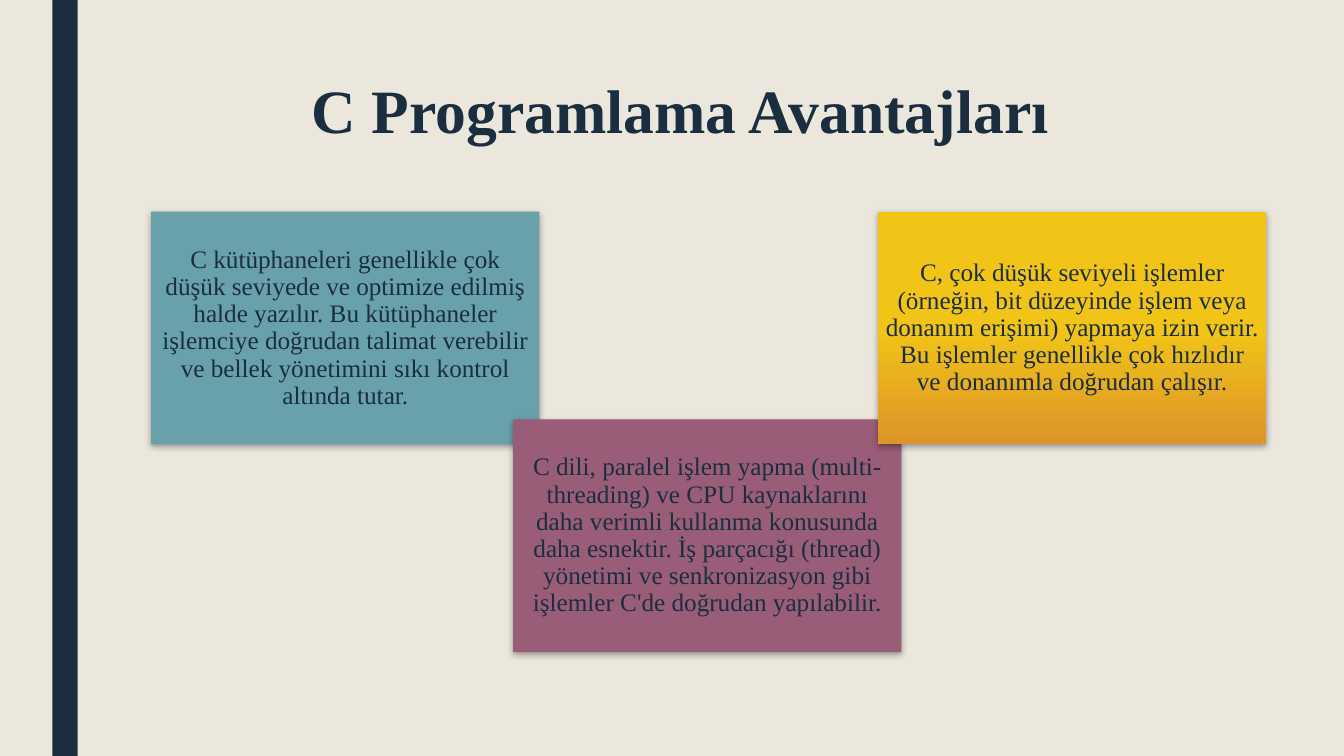
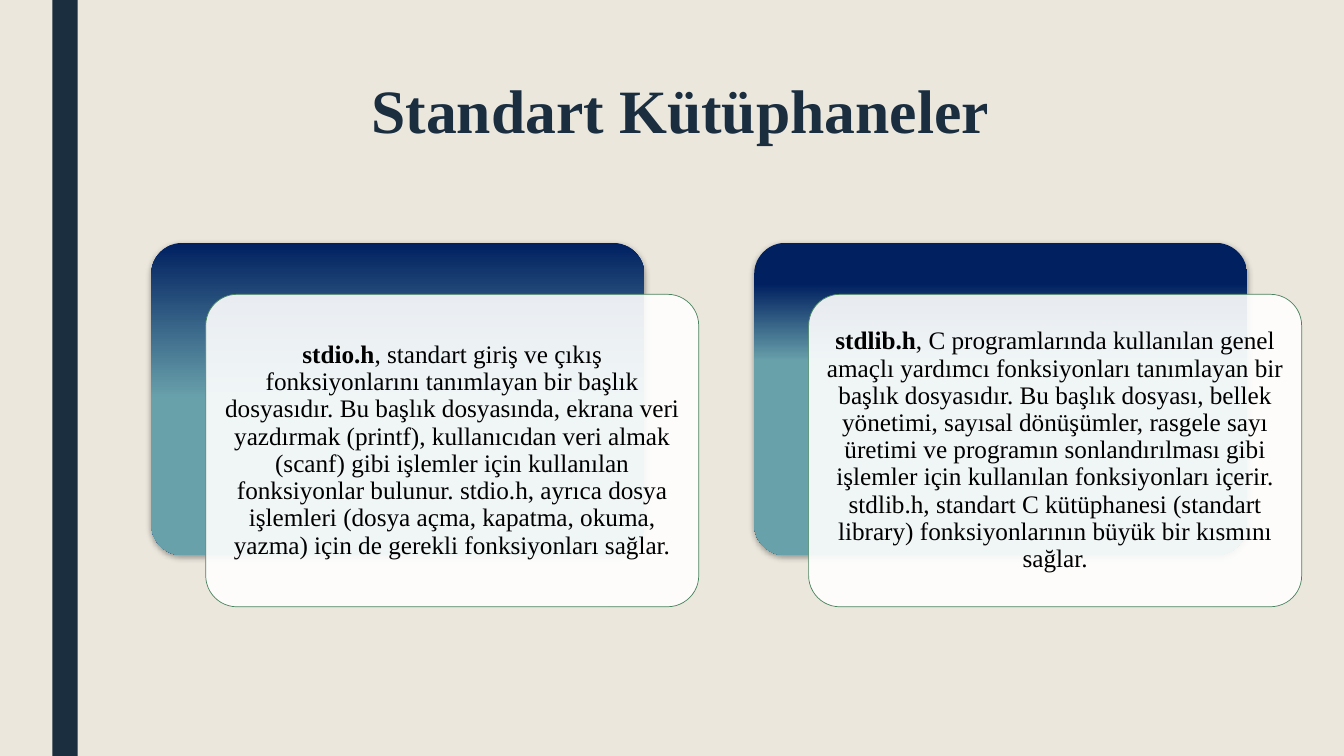
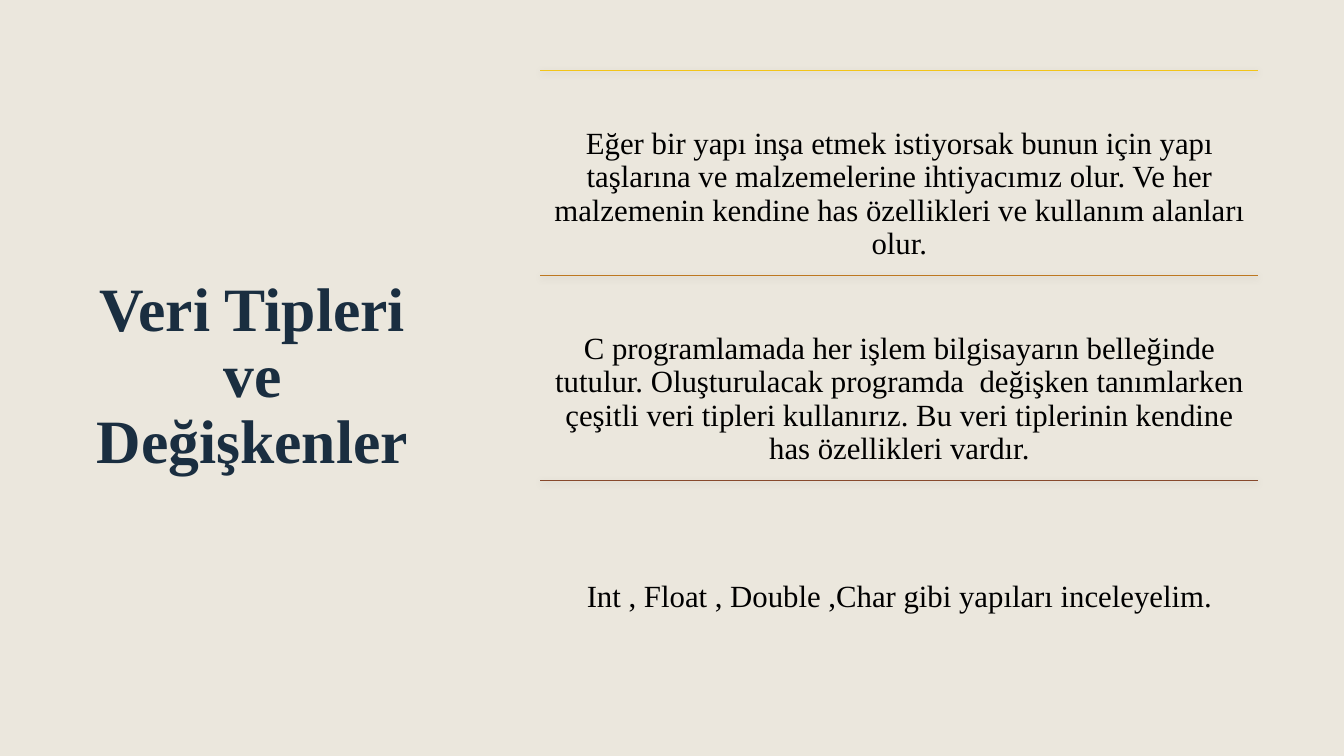
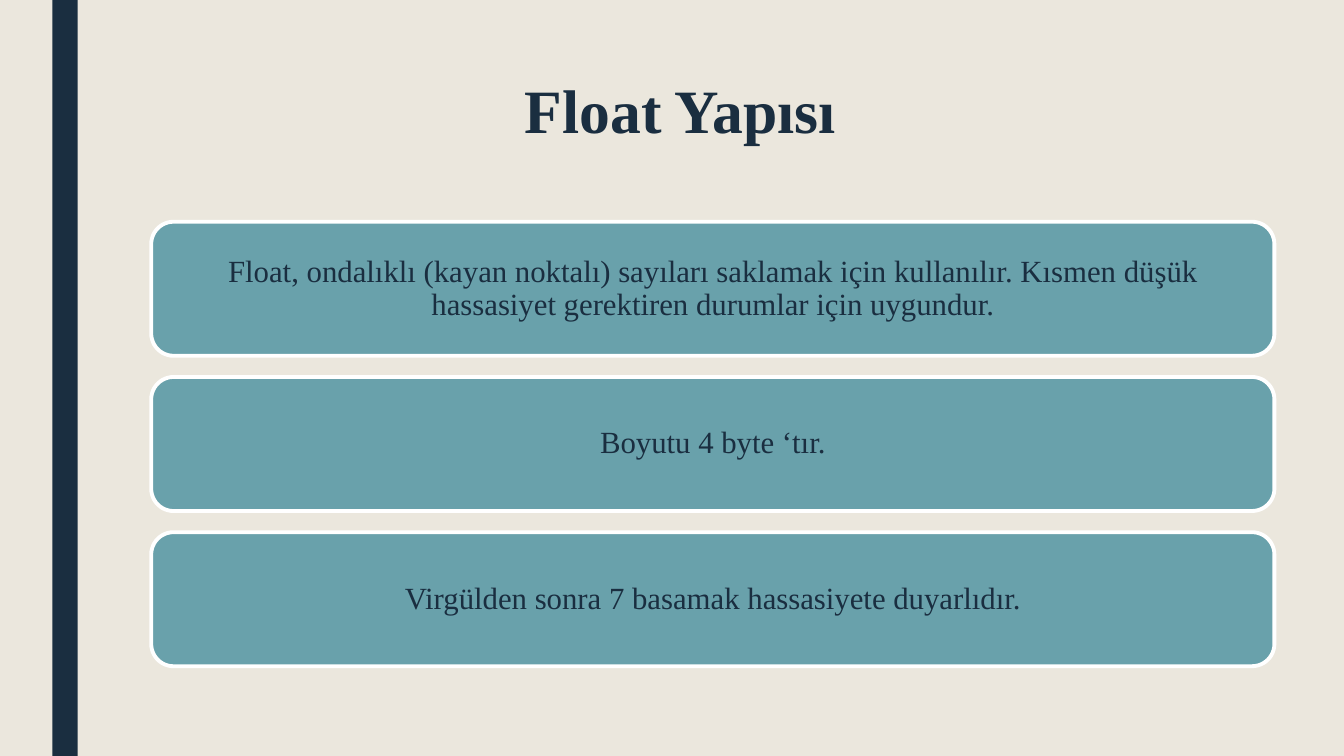
from lxml import etree
from pptx import Presentation
from pptx.dml.color import RGBColor
from pptx.enum.shapes import MSO_CONNECTOR, MSO_SHAPE
from pptx.enum.text import MSO_ANCHOR, PP_ALIGN
from pptx.oxml.ns import qn
from pptx.util import Inches, Pt

RECTANGLE = MSO_SHAPE.RECTANGLE
ROUNDED = MSO_SHAPE.ROUNDED_RECTANGLE
STRAIGHT = MSO_CONNECTOR.STRAIGHT
TOP, MIDDLE = MSO_ANCHOR.TOP, MSO_ANCHOR.MIDDLE
CENTER = PP_ALIGN.CENTER

FONT = "Times New Roman"
CREAM, NAVY, TEAL, PLUM = "EBE7DD", "1A2E40", "69A1AB", "9A5D78"
YELLOW, ORANGE, BROWN, RUST = "F2C418", "DC9528", "BD7821", "87492C"
DEEP_BLUE, GREEN, WHITE, BLACK = "002060", "4A845E", "FFFFFF", "000000"

CONTENT_LEFT = 1.5


def color(value):
    return RGBColor.from_string(value)


def add_element(parent, tag, **attributes):
    element = etree.SubElement(parent, qn(tag))
    for name, value in attributes.items():
        element.set(name, str(value))
    return element


def add_shadow(effects):
    """Fill an a:effectLst with the soft shadow below cards and lines."""
    shadow = add_element(effects, "a:outerShdw", blurRad=Pt(4.5), dist=Pt(1.5),
                         dir=90 * 60000, algn="ctr", rotWithShape=0)
    shade = add_element(shadow, "a:srgbClr", val=BLACK)
    add_element(shade, "a:alpha", val=35000)


def fill_gradient(shape, stops):
    """Fill from top to bottom with (percent, colour) stops."""
    shape.fill.gradient()
    shape.fill.gradient_angle = 270
    stop_list = shape._element.spPr.find(qn("a:gradFill")).find(qn("a:gsLst"))
    for stop in list(stop_list):
        stop_list.remove(stop)
    for percent, value in stops:
        stop = add_element(stop_list, "a:gs", pos=percent * 1000)
        add_element(stop, "a:srgbClr", val=value)


def set_opacity(shape, percent):
    solid = shape._element.spPr.find(qn("a:solidFill"))
    add_element(solid[0], "a:alpha", val=percent * 1000)


def add_box(slide, kind, left, top, width, height, fill, line=None,
            line_width=0.5, shadow=False):
    """Add a preset shape; fill is a colour or a list of gradient stops."""
    shape = slide.shapes.add_shape(kind, Inches(left), Inches(top),
                                   Inches(width), Inches(height))
    shape.shadow.inherit = False
    if isinstance(fill, str):
        shape.fill.solid()
        shape.fill.fore_color.rgb = color(fill)
    else:
        fill_gradient(shape, fill)
    if line:
        shape.line.color.rgb = color(line)
        shape.line.width = Pt(line_width)
    else:
        shape.line.fill.background()
    if shadow:
        add_shadow(shape._element.spPr.find(qn("a:effectLst")))
    return shape


def write_text(shape, runs, size, text_color, anchor=MIDDLE, inset=0.07,
               spacing=0.9):
    """Write one centred paragraph from (text, bold) runs."""
    frame = shape.text_frame
    frame.word_wrap = True
    frame.vertical_anchor = anchor
    frame.margin_left = frame.margin_right = Inches(inset)
    frame.margin_top = frame.margin_bottom = Inches(inset)
    paragraph = frame.paragraphs[0]
    paragraph.alignment = CENTER
    paragraph.line_spacing = spacing
    for text, bold in runs:
        run = paragraph.add_run()
        run.text = text
        run.font.name = FONT
        run.font.size = Pt(size)
        run.font.bold = bold
        run.font.color.rgb = color(text_color)


def add_text_box(slide, left, top, width, height):
    return slide.shapes.add_textbox(Inches(left), Inches(top),
                                    Inches(width), Inches(height))


def add_title(slide, text, left=CONTENT_LEFT, top=0.75, width=10.5, height=0.98,
              anchor=TOP):
    title = add_text_box(slide, left, top, width, height)
    write_text(title, [(text, True)], 44, NAVY, anchor, inset=0.05, spacing=0.89)


def add_rule(slide, left, top, width, line_color):
    rule = slide.shapes.add_connector(STRAIGHT, Inches(left), Inches(top),
                                      Inches(left + width), Inches(top))
    rule.line.color.rgb = color(line_color)
    rule.line.width = Pt(0.5)
    add_shadow(add_element(rule._element.spPr, "a:effectLst"))


def add_slide(presentation, band=True):
    slide = presentation.slides.add_slide(presentation.slide_layouts[6])
    slide.background.fill.solid()
    slide.background.fill.fore_color.rgb = color(CREAM)
    if band:
        add_box(slide, RECTANGLE, 0.52, 0, 0.25, 7.5, NAVY)
    return slide


def build_advantages(presentation):
    slide = add_slide(presentation)
    add_title(slide, "C Programlama Avantajları")
    cards = [
        (CONTENT_LEFT, 2.1, TEAL,
         "C kütüphaneleri genellikle çok düşük seviyede ve optimize edilmiş "
         "halde yazılır. Bu kütüphaneler işlemciye doğrudan talimat verebilir "
         "ve bellek yönetimini sıkı kontrol altında tutar."),
        (5.09, 4.16, PLUM,
         "C dili, paralel işlem yapma (multi-threading) ve CPU kaynaklarını "
         "daha verimli kullanma konusunda daha esnektir. İş parçacığı (thread) "
         "yönetimi ve senkronizasyon gibi işlemler C'de doğrudan yapılabilir."),
        (8.71, 2.1, [(0, YELLOW), (50, YELLOW), (100, ORANGE)],
         "C, çok düşük seviyeli işlemler (örneğin, bit düzeyinde işlem veya "
         "donanım erişimi) yapmaya izin verir. Bu işlemler genellikle çok "
         "hızlıdır ve donanımla doğrudan çalışır."),
    ]
    for left, top, fill, text in cards:
        card = add_box(slide, RECTANGLE, left, top, 3.85, 2.31, fill, shadow=True)
        write_text(card, [(text, False)], 18, NAVY)


def build_libraries(presentation):
    slide = add_slide(presentation)
    add_title(slide, "Standart Kütüphaneler")
    libraries = [
        ("stdio.h",
         ", standart giriş ve çıkış fonksiyonlarını tanımlayan bir başlık "
         "dosyasıdır. Bu başlık dosyasında, ekrana veri yazdırmak (printf), "
         "kullanıcıdan veri almak (scanf) gibi işlemler için kullanılan "
         "fonksiyonlar bulunur. stdio.h, ayrıca dosya işlemleri (dosya açma, "
         "kapatma, okuma, yazma) için de gerekli fonksiyonları sağlar.",
         [(0, DEEP_BLUE), (50, TEAL), (100, TEAL)]),
        ("stdlib.h",
         ", C programlarında kullanılan genel amaçlı yardımcı fonksiyonları "
         "tanımlayan bir başlık dosyasıdır. Bu başlık dosyası, bellek yönetimi, "
         "sayısal dönüşümler, rasgele sayı üretimi ve programın "
         "sonlandırılması gibi işlemler için kullanılan fonksiyonları içerir. "
         "stdlib.h, standart C kütüphanesi (standart library) fonksiyonlarının "
         "büyük bir kısmını sağlar.",
         [(0, DEEP_BLUE), (13, DEEP_BLUE), (38, TEAL), (100, TEAL)]),
    ]
    width, height = 4.89, 3.1
    for index, (name, description, stops) in enumerate(libraries):
        left, top = CONTENT_LEFT + index * 5.98, 2.41
        back = add_box(slide, ROUNDED, left, top, width, height, stops, shadow=True)
        front = add_box(slide, ROUNDED, left + 0.54, top + 0.51, width, height,
                        WHITE, GREEN)
        back.adjustments[0] = front.adjustments[0] = 0.1
        set_opacity(front, 90)
        write_text(front, [(name, True), (description, False)], 18, BLACK,
                   inset=0.08)


def build_data_types(presentation):
    slide = add_slide(presentation, band=False)
    top, height = 0.7, 6.1
    add_title(slide, "Veri Tipleri ve Değişkenler", 0.7, top, 3.61, height, MIDDLE)
    sections = [
        (YELLOW, 0.48,
         "Eğer bir yapı inşa etmek istiyorsak bunun için yapı taşlarına ve "
         "malzemelerine ihtiyacımız olur. Ve her malzemenin kendine has "
         "özellikleri ve kullanım alanları olur."),
        (BROWN, 0.48,
         "C programlamada her işlem bilgisayarın belleğinde tutulur. "
         "Oluşturulacak programda  değişken tanımlarken çeşitli veri tipleri "
         "kullanırız. Bu veri tiplerinin kendine has özellikleri vardır."),
        (RUST, 0.91, "Int , Float , Double ,Char gibi yapıları inceleyelim."),
    ]
    left, width = 5.36, 7.12
    section_height = height / len(sections)
    for index, (line_color, gap, text) in enumerate(sections):
        section_top = top + index * section_height
        add_rule(slide, left, section_top, width, line_color)
        section = add_text_box(slide, left, section_top + gap, width,
                               section_height - gap)
        write_text(section, [(text, False)], 22, BLACK, TOP, 0.09)


def build_float(presentation):
    slide = add_slide(presentation)
    add_title(slide, "Float Yapısı")
    facts = [
        "Float, ondalıklı (kayan noktalı) sayıları saklamak için kullanılır. "
        "Kısmen düşük hassasiyet gerektiren durumlar için uygundur.",
        "Boyutu 4 byte ‘tır.",
        "Virgülden sonra 7 basamak hassasiyete duyarlıdır.",
    ]
    for index, fact in enumerate(facts):
        bar = add_box(slide, ROUNDED, CONTENT_LEFT, 2.2 + index * 1.54, 11.14, 1.33,
                      TEAL, WHITE, 2.75)
        write_text(bar, [(fact, False)], 22, NAVY, inset=0.09)


def main():
    presentation = Presentation()
    presentation.slide_width = Inches(13.33)
    presentation.slide_height = Inches(7.5)
    build_advantages(presentation)
    build_libraries(presentation)
    build_data_types(presentation)
    build_float(presentation)
    presentation.save("out.pptx")


if __name__ == "__main__":
    main()
